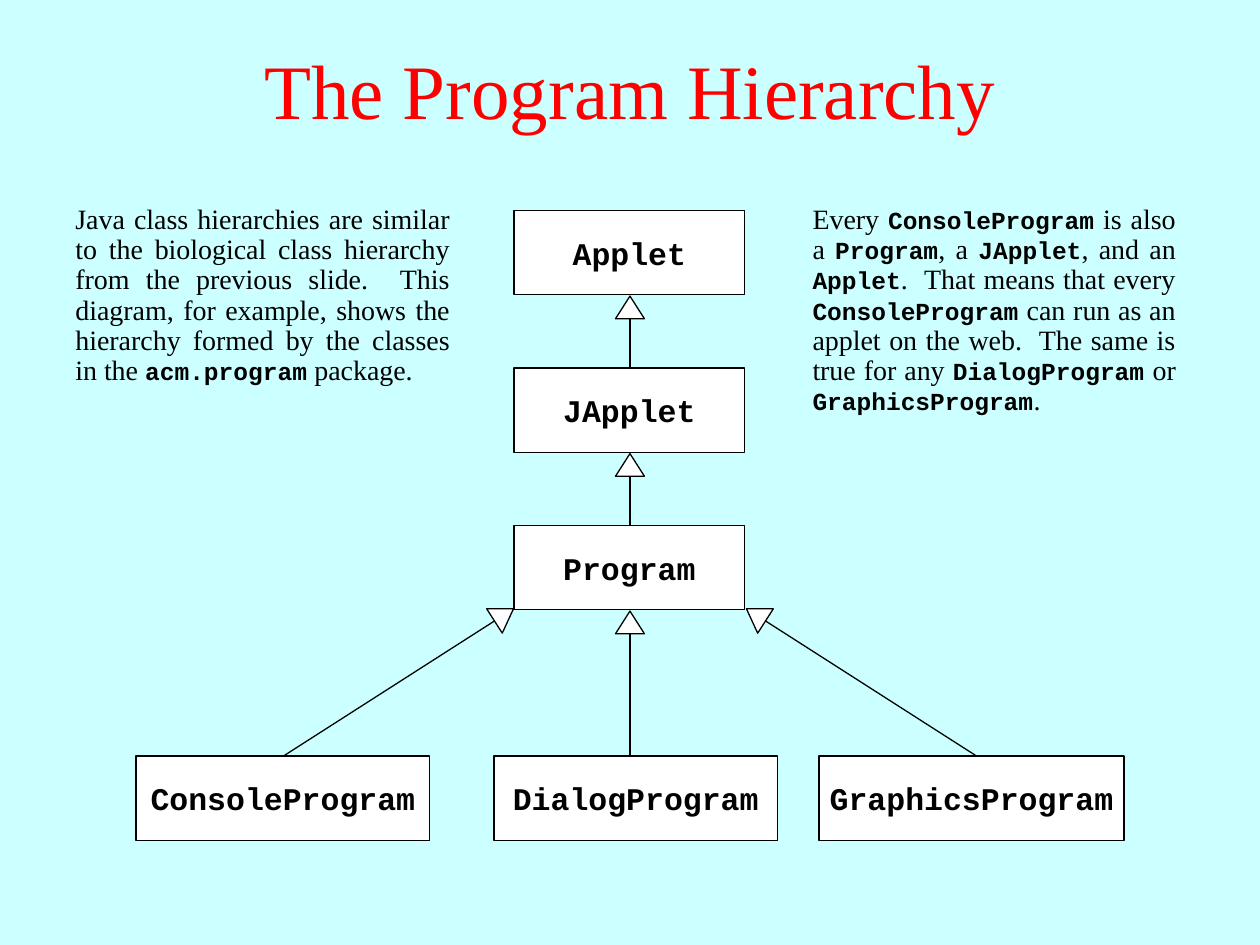
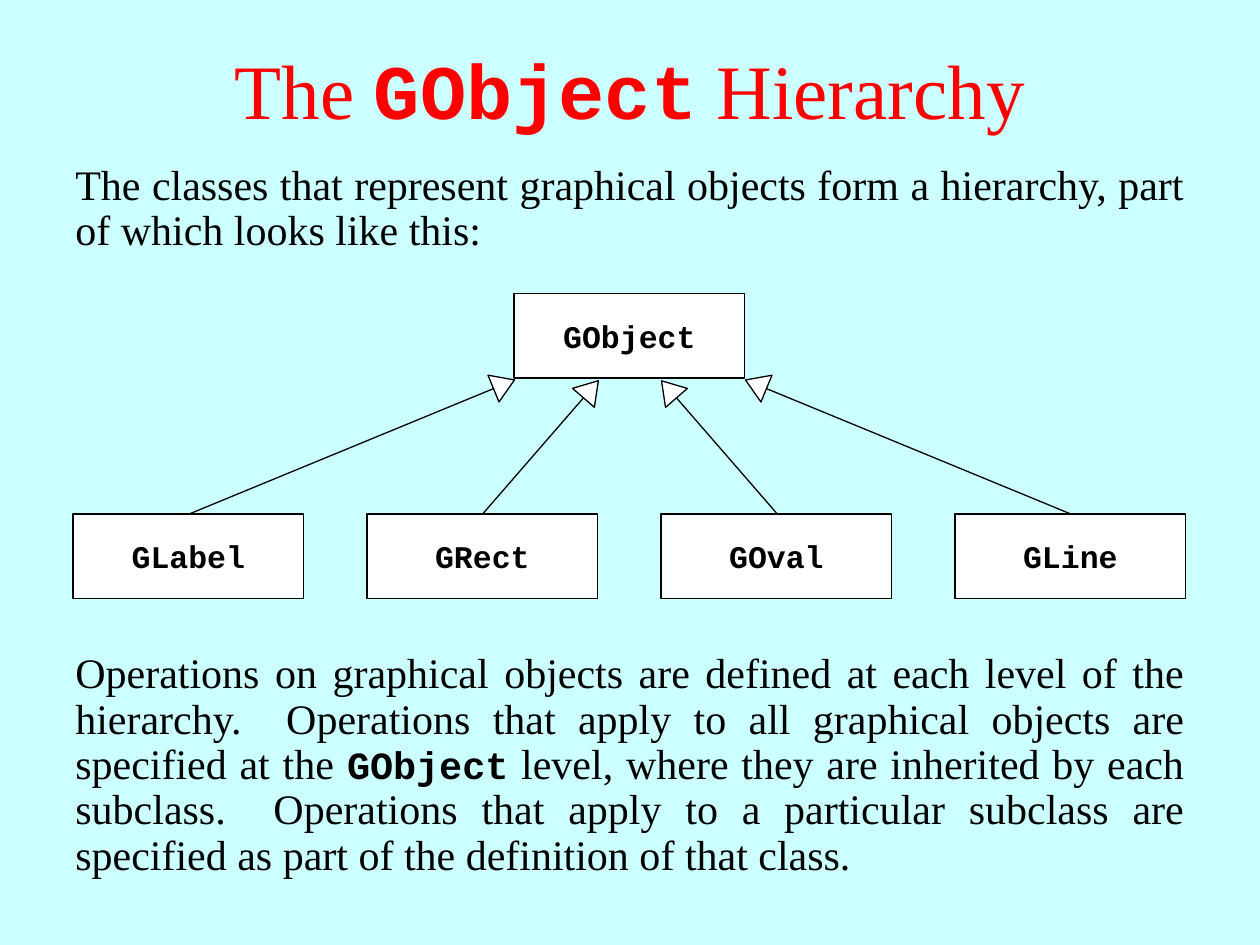
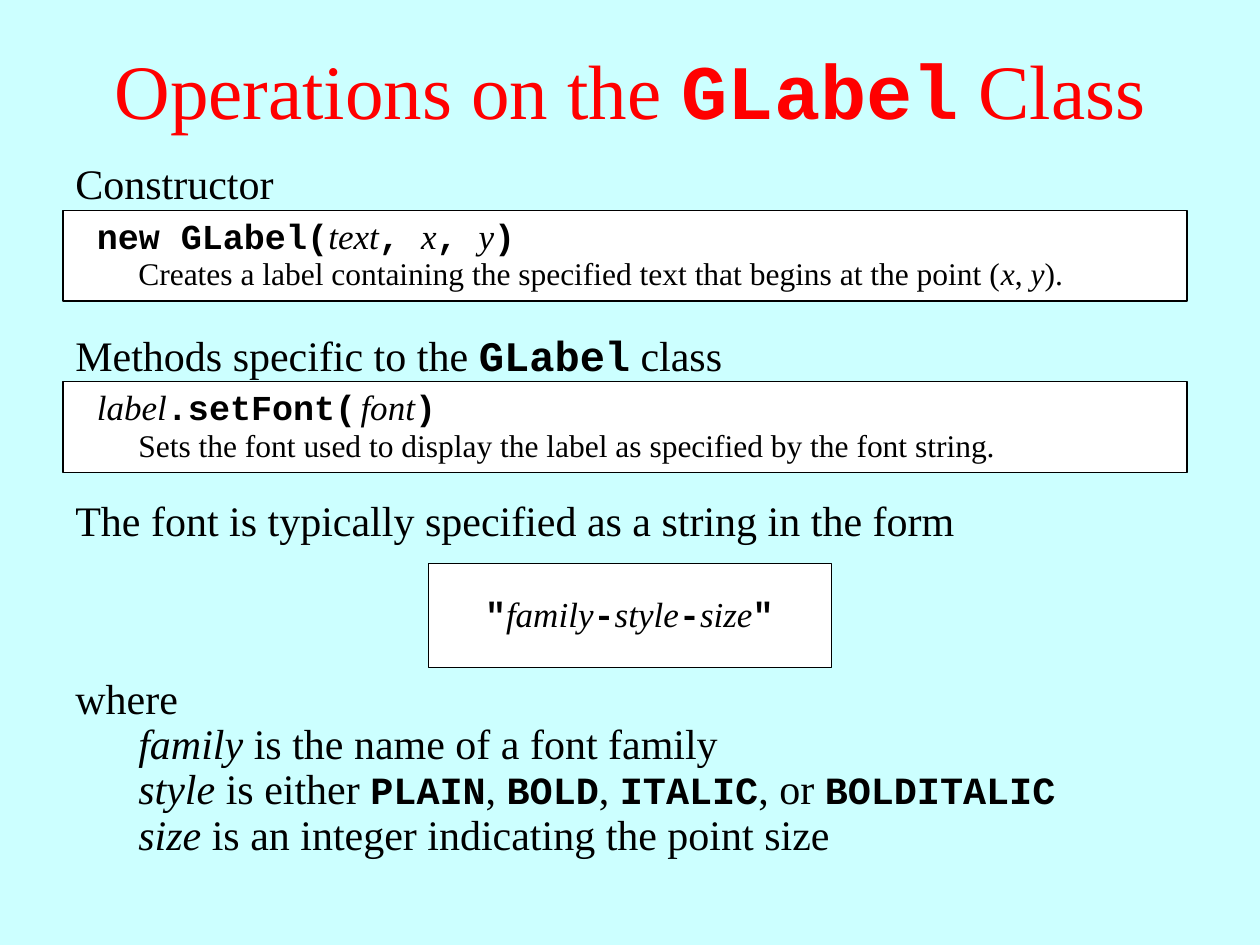
import dataclasses
import math
import typing

import pptx
import pptx.dml.color
import pptx.enum.shapes
import pptx.enum.text
import pptx.oxml.ns
import pptx.presentation
import pptx.shapes.autoshape
import pptx.slide
import pptx.text.text
import pptx.util
from lxml import etree

Inches = pptx.util.Inches
Align = pptx.enum.text.PP_ALIGN
Anchor = pptx.enum.text.MSO_ANCHOR
Preset = pptx.enum.shapes.MSO_SHAPE
RGBColor = pptx.dml.color.RGBColor

SERIF = "Times New Roman"
MONO = "Courier New"


@dataclasses.dataclass(frozen=True)
class TextStyle:
    size: int
    code_size: int
    colour: RGBColor = RGBColor(0, 0, 0)
    font: str = SERIF
    bold: bool = False
    align: Align = Align.LEFT
    line_spacing: float = 1.0


@dataclasses.dataclass(frozen=True)
class Theme:
    background: RGBColor = RGBColor(0xCC, 0xFF, 0xFF)
    box_fill: RGBColor = RGBColor(0xFF, 0xFF, 0xFF)
    line: RGBColor = RGBColor(0, 0, 0)
    line_width: float = 0.75
    hair_size: int = 4
    title: TextStyle = TextStyle(44, 44, RGBColor(0xFF, 0, 0), align=Align.CENTER)
    body: TextStyle = TextStyle(24, 22, align=Align.JUSTIFY, line_spacing=0.9)
    heading: TextStyle = TextStyle(24, 24, align=Align.JUSTIFY, line_spacing=0.9)
    note: TextStyle = TextStyle(16, 14, align=Align.JUSTIFY, line_spacing=0.9)
    class_name: TextStyle = TextStyle(18, 18, font=MONO, bold=True, align=Align.CENTER)
    signature: TextStyle = TextStyle(20, 20)
    form: TextStyle = TextStyle(20, 20, align=Align.CENTER)
    description: TextStyle = TextStyle(18, 18)


THEME = Theme()


class Area(typing.NamedTuple):
    left: float
    top: float
    width: float
    height: float

    def lengths(self) -> list[pptx.util.Length]:
        return [Inches(value) for value in self]


class ClassBox(typing.NamedTuple):
    name: str
    left: float
    top: float
    width: float = 1.83
    height: float = 0.67


class Inheritance(typing.NamedTuple):
    start_x: float
    start_y: float
    head_x: float
    head_y: float

    def mirrored(self) -> "Inheritance":
        return Inheritance(10 - self.start_x, self.start_y, 10 - self.head_x, self.head_y)


class Operation(typing.NamedTuple):
    top: float
    heading: str
    signature: str
    description: str


MARKS = {"`": "code", "*": "italic", "^": "hair"}


def split_spans(text: str) -> list[tuple[str, str]]:
    spans = []
    kind, words = "plain", ""
    for character in text:
        if character in MARKS:
            if words:
                spans.append((kind, words))
            kind = "plain" if kind == MARKS[character] else MARKS[character]
            words = ""
        else:
            words += character
    return spans + [(kind, words)] if words else spans


def write_paragraph(paragraph: pptx.text.text._Paragraph, text: str, style: TextStyle) -> None:
    paragraph.alignment = style.align
    paragraph.line_spacing = style.line_spacing
    paragraph.font.name = style.font
    paragraph.font.size = pptx.util.Pt(style.size)
    paragraph.font.bold = style.bold
    paragraph.font.color.rgb = style.colour
    for kind, words in split_spans(text):
        run = paragraph.add_run()
        run.text = words
        if kind == "italic":
            run.font.italic = True
        elif kind in ("code", "hair"):
            run.font.name = MONO
            run.font.bold = True
            size = style.code_size if kind == "code" else THEME.hair_size
            run.font.size = pptx.util.Pt(size)


def add_text(slide: pptx.slide.Slide, area: Area, style: TextStyle, *lines: str,
             indent: float = 0, anchor: Anchor = Anchor.TOP) -> None:
    frame = slide.shapes.add_textbox(*area.lengths()).text_frame
    frame.word_wrap = True
    frame.vertical_anchor = anchor
    for index, line in enumerate(lines):
        paragraph = frame.add_paragraph() if index else frame.paragraphs[0]
        if index and indent:
            paragraph._p.get_or_add_pPr().set("marL", str(Inches(indent)))
        write_paragraph(paragraph, line, style)


def add_outlined(slide: pptx.slide.Slide, preset: Preset,
                 area: Area) -> pptx.shapes.autoshape.Shape:
    shape = slide.shapes.add_shape(preset, *area.lengths())
    shape.shadow.inherit = False
    shape.fill.solid()
    shape.fill.fore_color.rgb = THEME.box_fill
    shape.line.color.rgb = THEME.line
    shape.line.width = pptx.util.Pt(THEME.line_width)
    return shape


def add_class_box(slide: pptx.slide.Slide, box: ClassBox) -> None:
    frame = add_outlined(slide, Preset.RECTANGLE, Area(*box[1:])).text_frame
    frame.word_wrap = False
    frame.vertical_anchor = Anchor.MIDDLE
    write_paragraph(frame.paragraphs[0], box.name, THEME.class_name)


def add_inheritance(slide: pptx.slide.Slide, arrow: Inheritance) -> None:
    connector = slide.shapes.add_connector(
        pptx.enum.shapes.MSO_CONNECTOR.STRAIGHT, *[Inches(value) for value in arrow])
    connector.line.color.rgb = THEME.line
    connector.line.width = pptx.util.Pt(THEME.line_width)
    etree.SubElement(connector._element.spPr, pptx.oxml.ns.qn("a:effectLst"))
    width, height = 0.23, 0.18
    head = add_outlined(slide, Preset.ISOSCELES_TRIANGLE, Area(
        arrow.head_x - width / 2, arrow.head_y - height / 2, width, height))
    head.rotation = math.degrees(math.atan2(
        arrow.head_x - arrow.start_x, arrow.start_y - arrow.head_y))


def add_hierarchy(slide: pptx.slide.Slide, boxes: list[ClassBox],
                  arrows: list[Inheritance]) -> None:
    for box in boxes:
        add_class_box(slide, box)
    for arrow in arrows:
        add_inheritance(slide, arrow)


def add_operation(slide: pptx.slide.Slide, operation: Operation) -> None:
    top = operation.top
    add_text(slide, Area(0.5, top, 9, 0.46), THEME.heading, operation.heading)
    add_outlined(slide, Preset.RECTANGLE, Area(0.5, top + 0.42, 8.92, 0.72))
    add_text(slide, Area(0.67, top + 0.4, 8.58, 0.44), THEME.signature, operation.signature)
    add_text(slide, Area(1, top + 0.72, 8.33, 0.4), THEME.description, operation.description)


def add_titled_slide(presentation: pptx.presentation.Presentation,
                     title: str) -> pptx.slide.Slide:
    slide = presentation.slides.add_slide(presentation.slide_layouts[6])
    slide.background.fill.solid()
    slide.background.fill.fore_color.rgb = THEME.background
    add_text(slide, Area(0, 0.08, 10, 1.25), THEME.title, title, anchor=Anchor.MIDDLE)
    return slide


def build_program_hierarchy(presentation: pptx.presentation.Presentation) -> None:
    slide = add_titled_slide(presentation, "The Program Hierarchy")
    ancestors = [ClassBox(name, 4.08, 1.67 + 1.25 * level)
                 for level, name in enumerate(["Applet", "JApplet", "Program"])]
    programs = [
        ClassBox("ConsoleProgram", 1.08, 6, 2.33),
        ClassBox("DialogProgram", 3.92, 6, 2.25),
        ClassBox("GraphicsProgram", 6.5, 6, 2.42),
    ]
    console_arrow = Inheritance(2.25, 6, 4, 4.88)
    arrows = [
        Inheritance(5, 2.92, 5, 2.44),
        Inheritance(5, 4.17, 5, 3.69),
        Inheritance(5, 6, 5, 4.94),
        console_arrow,
        console_arrow.mirrored(),
    ]
    add_hierarchy(slide, ancestors + programs, arrows)
    add_text(
        slide, Area(0.5, 1.58, 3.17, 1.54), THEME.note,
        "Java class hierarchies are similar to the biological class hierarchy from the "
        "previous slide.  This diagram, for example, shows the hierarchy formed by the "
        "classes in the `acm.program` package.")
    add_text(
        slide, Area(6.35, 1.58, 3.08, 1.78), THEME.note,
        "Every `ConsoleProgram` is also a `Program`, a `JApplet`, and an `Applet`.  That "
        "means that every `ConsoleProgram` can run as an applet on the web.  The same is "
        "true for any `DialogProgram` or `GraphicsProgram`.")


def build_object_hierarchy(presentation: pptx.presentation.Presentation) -> None:
    slide = add_titled_slide(presentation, "The `GObject` Hierarchy")
    add_text(
        slide, Area(0.5, 1.25, 9, 0.82), THEME.body,
        "The classes that represent graphical objects form a hierarchy, part of which "
        "looks like this:")
    subclasses = [ClassBox(name, 0.58 + 7 / 3 * column, 4.08)
                  for column, name in enumerate(["GLabel", "GRect", "GOval", "GLine"])]
    left_arrows = [Inheritance(1.5, 4.08, 4, 3.05), Inheritance(3.83, 4.08, 4.69, 3.09)]
    arrows = left_arrows + [arrow.mirrored() for arrow in left_arrows]
    add_hierarchy(slide, [ClassBox("GObject", 4.08, 2.33)] + subclasses, arrows)
    add_text(
        slide, Area(0.5, 5.13, 9, 1.9), THEME.body,
        "Operations on graphical objects are defined at each level of the hierarchy.  "
        "Operations that apply to all graphical objects are specified at the `GObject` "
        "level, where they are inherited by each subclass.  Operations that apply to a "
        "particular subclass are specified as part of the definition of that class.")


def build_label_operations(presentation: pptx.presentation.Presentation) -> None:
    slide = add_titled_slide(presentation, "Operations on the `GLabel` Class")
    operations = [
        Operation(
            1.25, "Constructor", "`new GLabel(`*text*`, `*x*`, `*y*`)`",
            "Creates a label containing the specified text that begins at the point "
            "(*x*, *y*)."),
        Operation(
            2.61, "Methods specific to the `GLabel` class",
            "*label*`.setFont(`^ ^*font*`)`",
            "Sets the font used to display the label as specified by the font string."),
    ]
    for operation in operations:
        add_operation(slide, operation)
    add_text(slide, Area(0.5, 3.92, 9, 0.46), THEME.body,
             "The font is typically specified as a string in the form")
    add_outlined(slide, Preset.RECTANGLE, Area(3.4, 4.47, 3.2, 0.83))
    add_text(slide, Area(3.58, 4.65, 2.83, 0.44), THEME.form,
             '`"`*family*`-`*style*`-`*size*`"`')
    add_text(
        slide, Area(0.5, 5.33, 9, 1.54), THEME.body,
        "where",
        "*family* is the name of a font family",
        "*style* is either `PLAIN`, `BOLD`, `ITALIC`, or `BOLDITALIC`",
        "*size* is an integer indicating the point size",
        indent=0.5)


def main() -> None:
    presentation = pptx.Presentation()
    presentation.slide_width = Inches(10)
    presentation.slide_height = Inches(7.5)
    build_program_hierarchy(presentation)
    build_object_hierarchy(presentation)
    build_label_operations(presentation)
    presentation.save("out.pptx")


if __name__ == "__main__":
    main()
